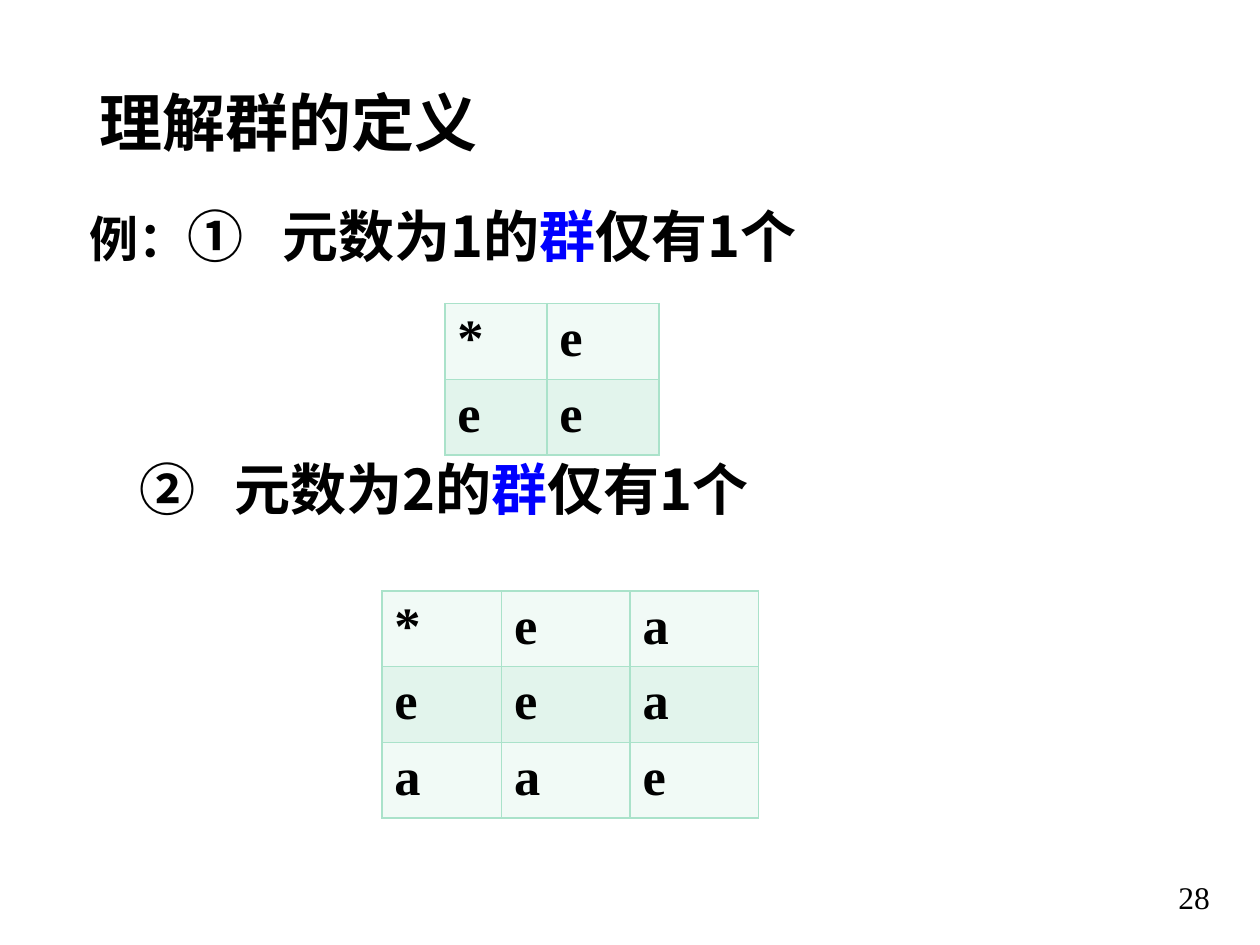
from lxml import etree
from pptx import Presentation
from pptx.dml.color import RGBColor
from pptx.enum.text import MSO_ANCHOR, PP_ALIGN
from pptx.oxml.ns import qn
from pptx.util import Inches, Pt

LEFT, RIGHT = PP_ALIGN.LEFT, PP_ALIGN.RIGHT
TOP, MIDDLE = MSO_ANCHOR.TOP, MSO_ANCHOR.MIDDLE

THEME = {
    "text": "000000", "accent": "0000FF", "border": "AAE2CA",
    "bands": ("F1FAF6", "E2F4EC"),
    "latin": "Times New Roman", "chinese": "Noto Sans CJK SC",
    "title": 36, "lead": 28, "body": 32, "cell": 30, "number": 18,
}

TITLE = "理解群的定义"
PAGE_NUMBER = "28"
STATEMENTS = [
    {"tabs": [1.53], "before": 0, "runs": [
        ("例：", "lead", "text"), ("①\t元数为1的", "body", "text"),
        ("群", "body", "accent"), ("仅有1个", "body", "text")]},
    {"tabs": [0.4, 1.15], "before": 110, "runs": [
        ("\t②\t元数为2的", "body", "text"),
        ("群", "body", "accent"), ("仅有1个", "body", "text")]},
]
GROUP_TABLES = [
    {"left": 3.53, "top": 2.41, "widths": [0.81, 0.89], "rows": ["*e", "ee"]},
    {"left": 3.03, "top": 4.69, "widths": [0.95, 1.02, 1.02],
     "rows": ["*ea", "eea", "aae"]},
]
ROW_HEIGHT = 0.6


def set_values(target, values):
    for name, value in values.items():
        setattr(target, name, value)


def add_run(paragraph, text, size, color="text", latin="latin", bold=True):
    run = paragraph.add_run()
    run.text = text
    set_values(run.font, {"name": THEME[latin], "size": Pt(THEME[size]), "bold": bold})
    run.font.color.rgb = RGBColor.from_string(THEME[color])
    east_asian = etree.SubElement(run._r.get_or_add_rPr(), qn("a:ea"))
    east_asian.set("typeface", THEME["chinese"])


def place(shape, left, top, width, height, anchor=TOP, margin_left=0.1):
    set_values(shape, {"left": Inches(left), "top": Inches(top),
                       "width": Inches(width), "height": Inches(height)})
    set_values(shape.text_frame, {"word_wrap": True, "vertical_anchor": anchor,
                                  "margin_left": Inches(margin_left)})
    return shape.text_frame


def add_tabs(paragraph, positions):
    tab_list = etree.SubElement(paragraph._p.get_or_add_pPr(), qn("a:tabLst"))
    for position in positions:
        tab = etree.SubElement(tab_list, qn("a:tab"))
        tab.set("pos", str(Inches(position)))
        tab.set("algn", "l")


def add_borders(cell):
    properties = cell._tc.get_or_add_tcPr()
    for index, side in enumerate(("lnL", "lnR", "lnT", "lnB")):
        line = etree.Element(qn("a:" + side), w=str(Pt(1)))
        fill = etree.SubElement(line, qn("a:solidFill"))
        etree.SubElement(fill, qn("a:srgbClr"), val=THEME["border"])
        properties.insert(index, line)


def add_group_table(slide, group):
    rows, widths = group["rows"], group["widths"]
    table = slide.shapes.add_table(
        len(rows), len(widths), Inches(group["left"]), Inches(group["top"]),
        Inches(sum(widths)), Inches(ROW_HEIGHT * len(rows))).table
    for column, width in zip(table.columns, widths):
        column.width = Inches(width)
    for row_index, symbols in enumerate(rows):
        table.rows[row_index].height = Inches(ROW_HEIGHT)
        for column_index, symbol in enumerate(symbols):
            cell = table.cell(row_index, column_index)
            cell.fill.solid()
            cell.fill.fore_color.rgb = RGBColor.from_string(THEME["bands"][row_index % 2])
            add_borders(cell)
            add_run(cell.text_frame.paragraphs[0], symbol, "cell")


def main():
    presentation = Presentation()
    set_values(presentation, {"slide_width": Inches(10), "slide_height": Inches(7.5)})
    slide = presentation.slides.add_slide(presentation.slide_layouts[5])

    frame = place(slide.shapes.title, 0.59, 0.6, 8.5, 0.73, MIDDLE, 0.2)
    frame.paragraphs[0].alignment = LEFT
    add_run(frame.paragraphs[0], TITLE, "title")

    frame = place(slide.shapes.add_textbox(0, 0, 0, 0), 0.61, 1.61, 9.08, 5)
    for index, statement in enumerate(STATEMENTS):
        paragraph = frame.add_paragraph() if index else frame.paragraphs[0]
        add_tabs(paragraph, statement["tabs"])
        set_values(paragraph, {"line_spacing": 0.9, "alignment": LEFT,
                               "space_before": Pt(statement["before"])})
        for text, size, color in statement["runs"]:
            add_run(paragraph, text, size, color, "chinese")

    for group in GROUP_TABLES:
        add_group_table(slide, group)

    frame = place(slide.shapes.add_textbox(0, 0, 0, 0), 7.37, 6.92, 2.33, 0.4)
    frame.paragraphs[0].alignment = RIGHT
    add_run(frame.paragraphs[0], PAGE_NUMBER, "number", bold=False)

    presentation.save("out.pptx")


if __name__ == "__main__":
    main()
